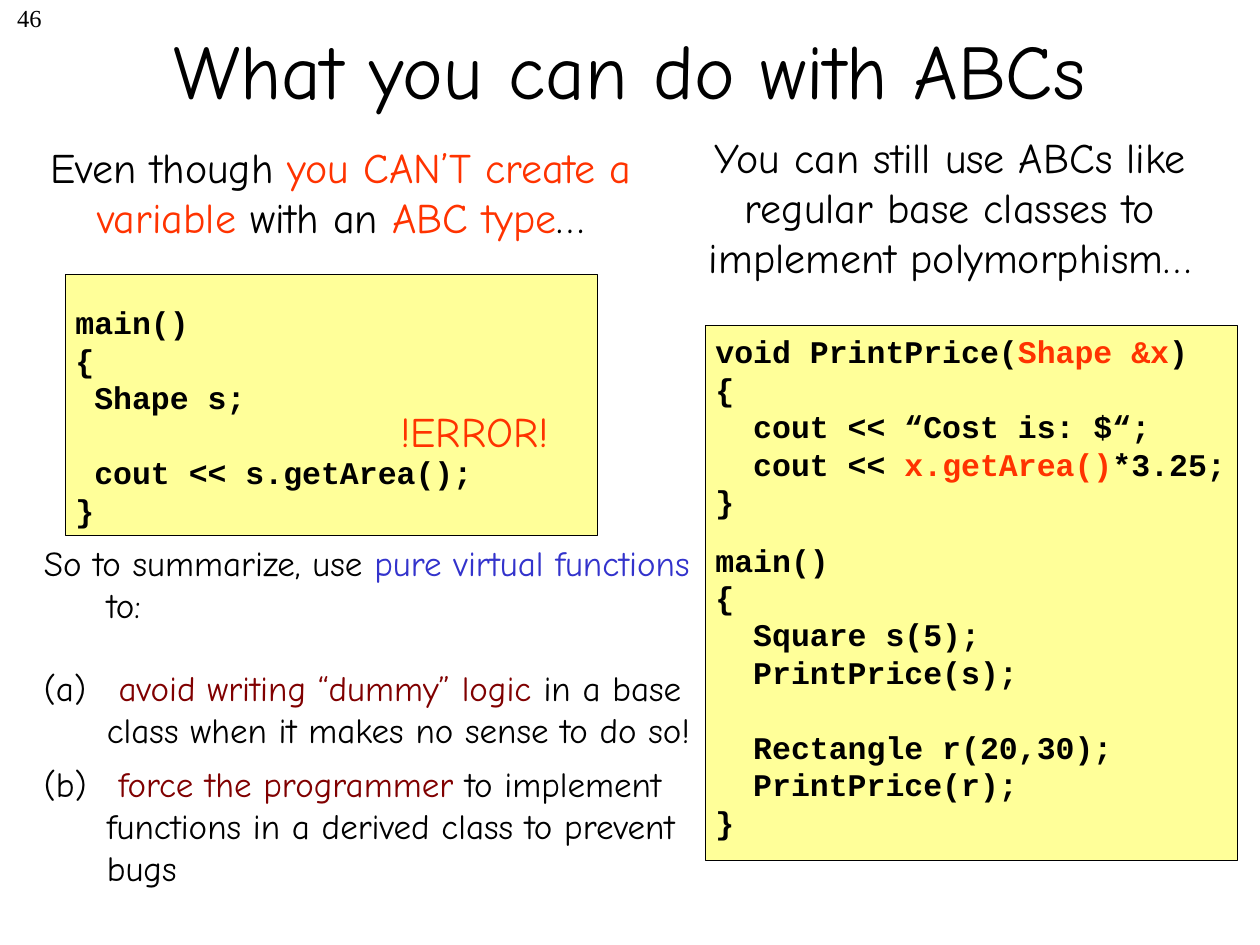
from lxml import etree
from pptx import Presentation
from pptx.dml.color import RGBColor
from pptx.enum import shapes, text
from pptx.oxml import ns
from pptx.util import Inches, Pt

COLORS = {
    "black": "000000",
    "red": "FF3300",
    "blue": "3333CC",
    "maroon": "800000",
    "panel": "FFFF99",
}
HAND, MONO, SERIF = "Comic Neue", "Courier New", "Times New Roman"
LEADING = 1.19  # line pitch as a multiple of the text size


def rgb(name):
    return RGBColor.from_string(COLORS[name])


def add_text(s, box, lines, font, size, align=text.PP_ALIGN.LEFT, bold=False,
             gaps=None, top=0.05, wrap=True):
    """Each line is a string or a list of (text, color) runs; gaps maps line index to points before."""
    tf = s.shapes.add_textbox(*map(Inches, box)).text_frame
    tf.word_wrap = wrap
    tf.margin_top = Inches(top)
    for i, line in enumerate(lines):
        p = tf.paragraphs[0] if i == 0 else tf.add_paragraph()
        p.alignment = align
        p.line_spacing = Pt(round(size * LEADING, 1))
        if gaps and i in gaps:
            p.space_before = Pt(gaps[i])
        for content, color in [(line, "black")] if isinstance(line, str) else line:
            r = p.add_run()
            r.text = content
            r.font.name, r.font.size, r.font.bold = font, Pt(size), bold
            r.font.color.rgb = rgb(color)
    return tf


def add_code(s, left, top, height, lines, gaps, inset):
    """Yellow panel with code on it."""
    panel = s.shapes.add_shape(shapes.MSO_SHAPE.RECTANGLE, Inches(left), Inches(top),
                               Inches(4.22), Inches(height))
    panel.shadow.inherit = False
    panel.fill.solid()
    panel.fill.fore_color.rgb = rgb("panel")
    panel.line.color.rgb = rgb("black")
    panel.line.width = Pt(0.25)
    add_text(s, (left - 0.02, top - 0.02, 4.34, height), lines, MONO, 18,
             bold=True, gaps=gaps, top=inset)


def hang(p, lettered):
    """Hanging indent, with an (a), (b) ... number if lettered."""
    pPr = p._p.get_or_add_pPr()
    pPr.set("marL", str(Inches(0.5)))
    pPr.set("indent", str(Inches(-0.5)))
    if lettered:
        etree.SubElement(pPr, ns.qn("a:buAutoNum"), type="alphaLcParenBoth")


def main():
    prs = Presentation()
    prs.slide_width, prs.slide_height = Inches(10), Inches(7.5)
    s = prs.slides.add_slide(prs.slide_layouts[6])
    center = text.PP_ALIGN.CENTER

    # Page number and title
    add_text(s, (0, -0.02, 0.43, 0.5), ["46"], SERIF, 14, text.PP_ALIGN.RIGHT)
    title = add_text(s, (0.75, -0.08, 8.5, 1.25), ["What you can do with ABCs"],
                     HAND, 44, center)
    title.vertical_anchor = text.MSO_ANCHOR.MIDDLE

    # Left: what is not allowed
    add_text(s, (0.17, 1.08, 5.07, 0.91), [[
        ("Even though ", "black"), ("you CAN’T create a variable", "red"),
        (" with an ", "black"), ("ABC type", "red"), ("…", "black"),
    ]], HAND, 24, center)
    add_code(s, 0.52, 2.18, 2.07, [
        "main()",
        "{",
        " Shape s;",
        " cout << s.getArea();",
        "}",
    ], gaps={3: 21.4}, inset=0.25)
    add_text(s, (3.08, 3.17, 1.47, 0.5), [[("!ERROR!", "red")]], HAND, 24, wrap=False)

    # Right: what still works
    add_text(s, (5.08, 1, 4.92, 1.3), [
        "You can still use ABCs like regular base classes to implement polymorphism…",
    ], HAND, 24, center)
    add_code(s, 5.6, 2.58, 4.25, [
        [("void PrintPrice(", "black"), ("Shape &x", "red"), (")", "black")],
        "{",
        "  cout << “Cost is: $“;",
        [("  cout << ", "black"), ("x.getArea()", "red"), ("*3.25;", "black")],
        "}",
        "main()",
        "{",
        "  Square s(5);",
        "  PrintPrice(s);",
        "  Rectangle r(20,30);",
        "  PrintPrice(r);",
        "}",
    ], gaps={5: 12, 9: 21.4}, inset=0.08)

    # Summary
    summary = add_text(s, (0.25, 4.25, 5.4, 3.05), [
        [("So to summarize, use ", "black"), ("pure virtual functions", "blue"),
         (" to:", "black")],
        [(" ", "black"), ("avoid writing “dummy” logic", "maroon"),
         (" in a base class when it makes no sense to do so!", "black")],
        [(" ", "black"), ("force the programmer", "maroon"),
         (" to implement functions in a derived class to prevent bugs", "black")],
    ], HAND, 20, gaps={1: 24, 2: 7.2})
    for i, p in enumerate(summary.paragraphs):
        hang(p, lettered=i > 0)

    prs.save("out.pptx")


if __name__ == "__main__":
    main()
